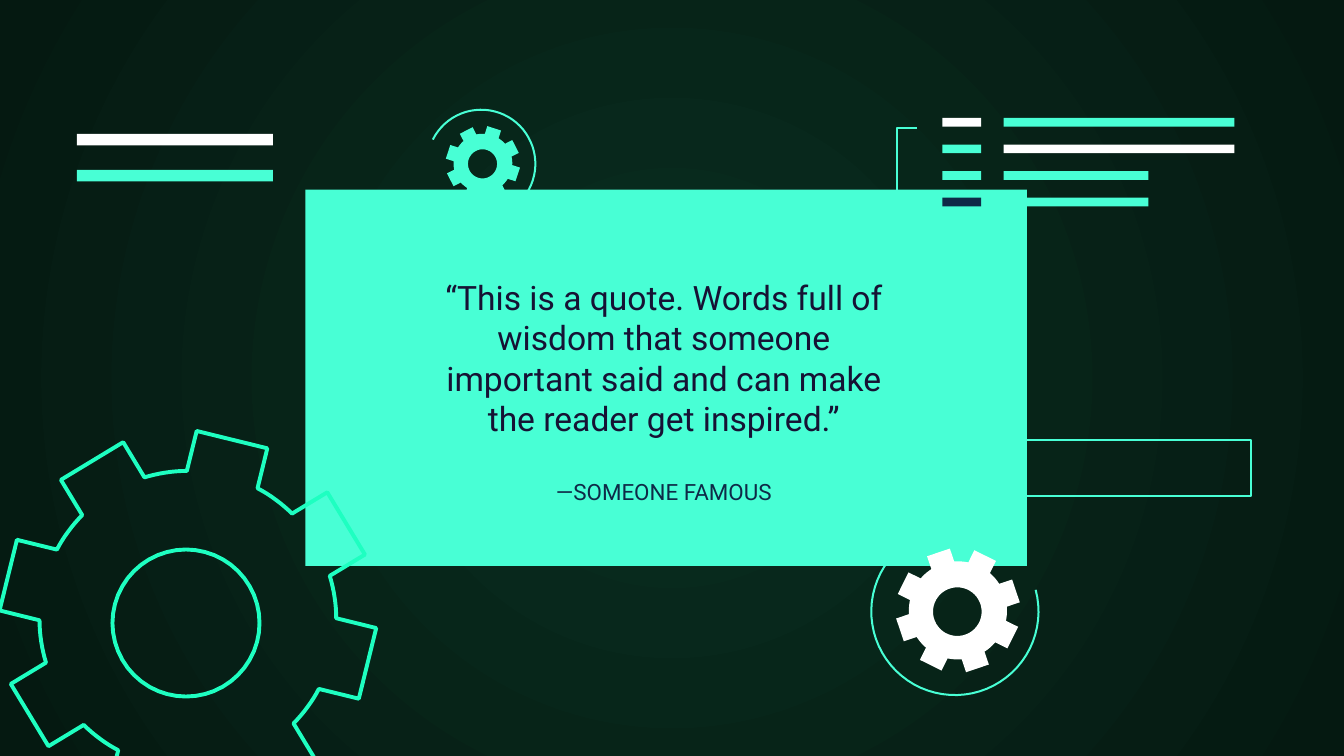
import math

from lxml import etree
from pptx import Presentation
from pptx.dml.color import RGBColor
from pptx.enum.shapes import MSO_SHAPE
from pptx.enum.text import MSO_ANCHOR, MSO_AUTO_SIZE, PP_ALIGN
from pptx.oxml.ns import qn
from pptx.util import Pt

RECTANGLE = MSO_SHAPE.RECTANGLE
TOP, BOTTOM = MSO_ANCHOR.TOP, MSO_ANCHOR.BOTTOM
CENTER = PP_ALIGN.CENTER
NO_AUTOFIT = MSO_AUTO_SIZE.NONE

MINT, WHITE, NAVY, INK = "48FFD5", "FFFFFF", "0E2A47", "161234"
BRIGHT_MINT = "1EFFC1"
DEEP_GREEN, DARK_GREEN = "092E20", "051911"
FONT = "Roboto"
THIN, THICK = 1.09, 2.1

TEETH = 8


def color(hex_string):
    return RGBColor.from_string(hex_string)


def arc_points(center, radius, start, end, steps=48):
    """Points on an arc; angles in degrees, clockwise from the right."""
    x, y = center
    angles = [math.radians(start + (end - start) * i / steps) for i in range(steps + 1)]
    return [(x + radius * math.cos(a), y + radius * math.sin(a)) for a in angles]


def gear_contours(center, radius, turn):
    """Rim and hole of a gear with parallel-sided teeth; turn is the first tooth's angle."""
    root, half_tooth = 0.787 * radius, 0.193 * radius
    tip_angle = math.degrees(math.asin(half_tooth / radius))
    root_angle = math.degrees(math.asin(half_tooth / root))
    pitch = 360 / TEETH
    rim = []
    for tooth in range(TEETH):
        middle = turn + tooth * pitch
        rim += arc_points(center, radius, middle - tip_angle, middle + tip_angle, 1)
        rim += arc_points(center, root, middle + root_angle, middle + pitch - root_angle, 8)
    hole_center = center[0] - 0.01 * radius, center[1] + 0.02 * radius
    return [rim, arc_points(hole_center, 0.39 * radius, 360, 0)]


class SlideBuilder:
    def __init__(self, presentation):
        self.slide = presentation.slides.add_slide(presentation.slide_layouts[5])

    def radial_background(self, inner, outer):
        fill = self.slide.background.fill
        fill.gradient()
        for stop, hex_string in zip(fill.gradient_stops, (inner, outer)):
            stop.color.rgb = color(hex_string)
        gradient = self.slide.element.find(".//" + qn("a:gradFill"))
        for linear in gradient.findall(qn("a:lin")):
            gradient.remove(linear)
        circle = etree.SubElement(gradient, qn("a:path"), path="circle")
        sides = dict.fromkeys("ltrb", "50000")
        etree.SubElement(circle, qn("a:fillToRect"), **sides)

    def paint(self, shape, fill=None, line=None, width=THIN):
        shape.shadow.inherit = False
        if fill:
            shape.fill.solid()
            shape.fill.fore_color.rgb = color(fill)
        else:
            shape.fill.background()
        if line:
            shape.line.color.rgb = color(line)
            shape.line.width = Pt(width)
        else:
            shape.line.fill.background()

    def rectangle(self, left, top, width, height, **style):
        box = map(Pt, (left, top, width, height))
        self.paint(self.slide.shapes.add_shape(RECTANGLE, *box), **style)

    def outline(self, contours, close=False, **style):
        contours = [[(Pt(x), Pt(y)) for x, y in contour] for contour in contours]
        builder = self.slide.shapes.build_freeform(*contours[0][0])
        for index, contour in enumerate(contours):
            if index:
                builder.move_to(*contour[0])
            builder.add_line_segments(contour[1:], close=close)
        self.paint(builder.convert_to_shape(), **style)

    def gear(self, center, radius, turn, **style):
        self.outline(gear_contours(center, radius, turn), close=True, **style)

    def fill_text(self, shape, text, anchor, size, hex_string):
        frame = shape.text_frame
        margins = dict.fromkeys(
            ("margin_left", "margin_right", "margin_top", "margin_bottom"), Pt(7.2))
        frame_format = {"word_wrap": True, "auto_size": NO_AUTOFIT,
                        "vertical_anchor": anchor, **margins}
        for name, value in frame_format.items():
            setattr(frame, name, value)
        paragraph = frame.paragraphs[0]
        paragraph.text = text
        paragraph.alignment = CENTER
        font = paragraph.runs[0].font
        for name, value in {"name": FONT, "size": Pt(size), "bold": False}.items():
            setattr(font, name, value)
        font.color.rgb = color(hex_string)

    def title(self, left, top, width, height, *text_style):
        title = self.slide.shapes.title
        box = {"left": left, "top": top, "width": width, "height": height}
        for name, value in box.items():
            setattr(title, name, Pt(value))
        self.fill_text(title, *text_style)
        # Bring the title in front of the panel.
        title.element.getparent().append(title.element)

    def text(self, left, top, width, height, *text_style):
        box = map(Pt, (left, top, width, height))
        self.fill_text(self.slide.shapes.add_textbox(*box), *text_style)


def main():
    presentation = Presentation()
    presentation.slide_width, presentation.slide_height = Pt(720), Pt(405)
    builder = SlideBuilder(presentation)
    builder.radial_background(DEEP_GREEN, DARK_GREEN)

    builder.rectangle(163.6, 101.6, 386.6, 201.6, fill=MINT)

    builder.outline([arc_points((257.8, 87.8), 29, 206.6, 455.7)], line=MINT)
    builder.outline([arc_points((511.6, 327.6), 44.8, -15, 233)], line=MINT)

    builder.gear((100.7, 331.8), 101, 13.8, line=BRIGHT_MINT, width=THICK)
    builder.gear((513.2, 327), 33.4, 26.4, fill=WHITE)
    builder.gear((258.7, 87.4), 20, 18, fill=MINT)

    list_rows = [(WHITE, MINT, 123.6), (MINT, WHITE, 123.6),
                 (MINT, MINT, 77.6), (NAVY, MINT, 77.6)]
    for row, (marker_fill, bar_fill, bar_width) in enumerate(list_rows):
        top = 63.2 + row * 14.25
        builder.rectangle(504.8, top, 20.9, 4.7, fill=marker_fill)
        builder.rectangle(537.7, top, bar_width, 4.7, fill=bar_fill)

    bracket = [(491.4, 112), (480.5, 112), (480.5, 68.5), (491.2, 68.5)]
    builder.outline([bracket], line=MINT)

    for top, fill in ((71.7, WHITE), (91, MINT)):
        builder.rectangle(41.2, top, 105, 6.3, fill=fill)

    builder.rectangle(518.4, 235.6, 151.8, 30.2, line=MINT)

    builder.title(216.7, 125.3, 277.9, 152.6, "—SOMEONE FAMOUS", BOTTOM, 12, NAVY)
    builder.text(219.6, 141.1, 272.2, 111.6,
                 "“This is a quote. Words full of wisdom that someone important "
                 "said and can make the reader get inspired.”", TOP, 18, INK)

    presentation.save("out.pptx")


if __name__ == "__main__":
    main()
